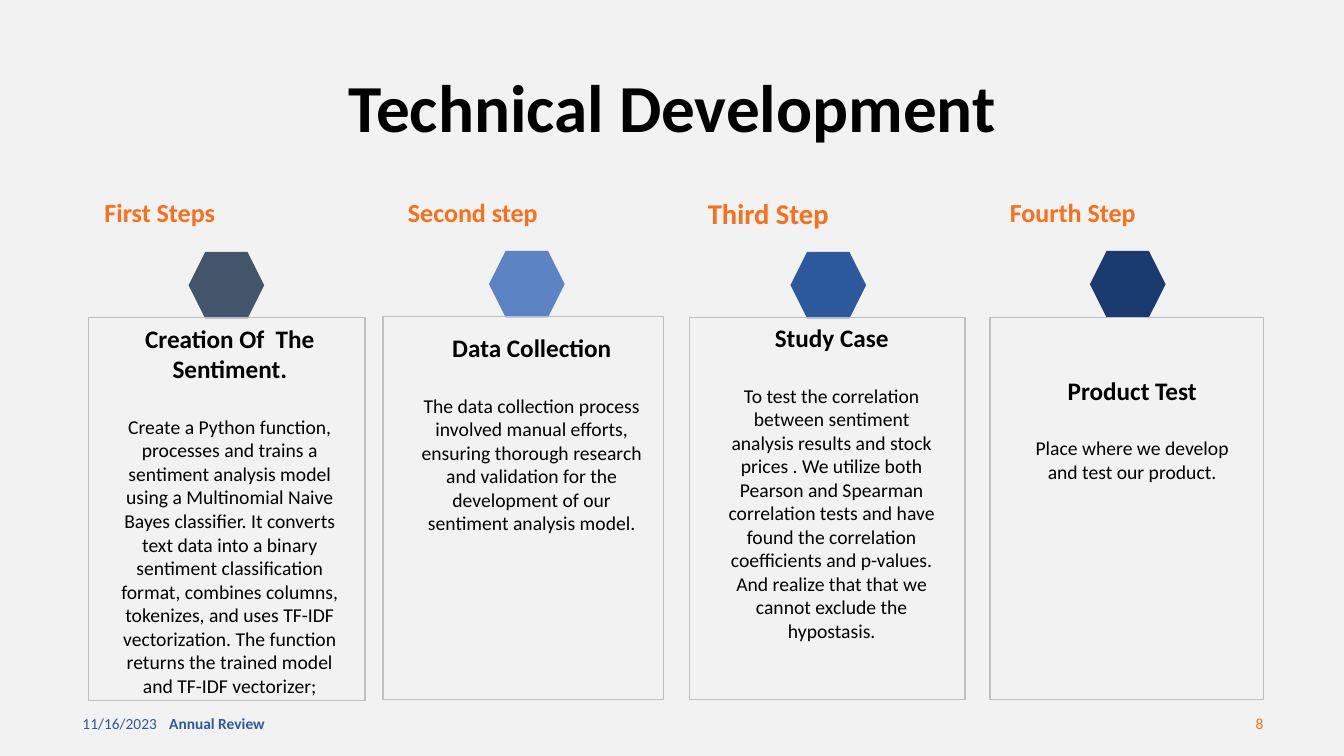
from dataclasses import dataclass

from pptx import Presentation
from pptx.dml.color import RGBColor
from pptx.enum.shapes import MSO_SHAPE
from pptx.enum.text import MSO_ANCHOR, PP_ALIGN
from pptx.util import Inches, Pt

HEXAGON, RECTANGLE = MSO_SHAPE.HEXAGON, MSO_SHAPE.RECTANGLE
TOP, MIDDLE = MSO_ANCHOR.TOP, MSO_ANCHOR.MIDDLE
LEFT, CENTER, RIGHT = PP_ALIGN.LEFT, PP_ALIGN.CENTER, PP_ALIGN.RIGHT


@dataclass(frozen=True)
class Theme:
    font: str = "Calibri"
    background: str = "F2F2F2"
    ink: str = "000000"
    accent: str = "FA6F1A"
    footer: str = "2C599D"
    border: str = "BFBFBF"
    title_size: float = 48
    step_size: float = 18.6
    large_step_size: float = 20.4
    heading_size: float = 18
    body_size: float = 14
    footer_size: float = 11
    heading_gap: float = 22


THEME = Theme()


@dataclass(frozen=True)
class Step:
    """One column; each span is (left, width) and each area (left, top, width, height)."""
    label: str
    label_span: tuple
    hexagon_at: tuple
    hexagon_color: str
    card: tuple
    copy_area: tuple
    heading: str
    body: str
    label_size: float = THEME.step_size
    label_spacing: float = 0.7


STEPS = [
    Step("First Steps", (0.88, 1.41), (1.87, 2.5), "44546A",
         (0.88, 3.15, 2.74, 3.8), (1.09, 3.16, 2.28, 3.79),
         "Creation Of  The Sentiment.",
         "Create a Python function, processes and trains a sentiment analysis model "
         "using a Multinomial Naive Bayes classifier. It converts text data into a "
         "binary sentiment classification format, combines columns, tokenizes, and "
         "uses TF-IDF vectorization. The function returns the trained model and "
         "TF-IDF vectorizer;"),
    Step("Second step", (3.89, 1.6), (4.85, 2.49), "5C83C4",
         (3.8, 3.14, 2.78, 3.8), (4.05, 3.25, 2.35, 2.61),
         "Data Collection",
         "The data collection process involved manual efforts, ensuring thorough "
         "research and validation for the development of our sentiment analysis model."),
    Step("Third Step", (6.89, 1.46), (7.84, 2.5), "2C599D",
         (6.84, 3.15, 2.73, 3.79), (7.06, 3.15, 2.28, 3.57),
         "Study Case",
         "To test the correlation between sentiment analysis results and stock "
         "prices . We utilize both Pearson and Spearman correlation tests and have "
         "found the correlation coefficients and p-values. And realize that that we "
         "cannot exclude the hypostasis.",
         THEME.large_step_size, 0.8),
    Step("Fourth Step", (9.85, 1.58), (10.81, 2.49), "1A3B70",
         (9.82, 3.15, 2.71, 3.79), (10.04, 3.67, 2.28, 1.76),
         "Product Test",
         "Place where we develop and test our product."),
]


def rgb(color):
    return RGBColor.from_string(color)


def inches(area):
    return [Inches(length) for length in area]


def style(paragraph, text, size, color, bold=False, align=LEFT, spacing=None):
    paragraph.text = text
    paragraph.alignment = align
    paragraph.line_spacing = spacing
    font = paragraph.font
    font.name, font.size, font.bold = THEME.font, Pt(size), bold
    font.color.rgb = rgb(color)


def add_text_frame(slide, area, anchor):
    frame = slide.shapes.add_textbox(*inches(area)).text_frame
    frame.word_wrap = True
    frame.vertical_anchor = anchor
    return frame


def add_line_of_text(slide, area, *args, **kwargs):
    frame = add_text_frame(slide, area, MIDDLE)
    style(frame.paragraphs[0], *args, **kwargs)


def add_plain_shape(slide, kind, area, fill=None, border=None):
    shape = slide.shapes.add_shape(kind, *inches(area))
    shape.shadow.inherit = False
    if fill:
        shape.fill.solid()
        shape.fill.fore_color.rgb = rgb(fill)
    else:
        shape.fill.background()
    if border:
        shape.line.color.rgb = rgb(border)
        shape.line.width = Pt(1)
    else:
        shape.line.fill.background()


def add_description(slide, step):
    frame = add_text_frame(slide, step.copy_area, TOP)
    frame.margin_right = 0
    heading = frame.paragraphs[0]
    style(heading, step.heading, THEME.heading_size, THEME.ink, bold=True, align=CENTER)
    heading.space_after = Pt(THEME.heading_gap)
    style(frame.add_paragraph(), step.body, THEME.body_size, THEME.ink, align=CENTER)


def add_step(slide, step):
    add_plain_shape(slide, HEXAGON, (*step.hexagon_at, 0.75, 0.66), fill=step.hexagon_color)
    left, width = step.label_span
    add_line_of_text(slide, (left, 1.87, width, 0.55), step.label, step.label_size,
                     THEME.accent, bold=True, align=CENTER, spacing=step.label_spacing)
    add_plain_shape(slide, RECTANGLE, step.card, border=THEME.border)
    add_description(slide, step)


def add_footer(slide):
    top, height, size = 6.98, 0.4, THEME.footer_size
    add_line_of_text(slide, (0.72, top, 3, height), "11/16/2023", size, THEME.footer)
    add_line_of_text(slide, (1.58, top, 4.5, height), "Annual Review", size,
                     THEME.footer, bold=True)
    add_line_of_text(slide, (9.63, top, 3, height), "8", size, THEME.accent, align=RIGHT)


def main():
    deck = Presentation()
    deck.slide_width, deck.slide_height = Inches(13.33), Inches(7.5)
    slide = deck.slides.add_slide(deck.slide_layouts[6])
    slide.background.fill.solid()
    slide.background.fill.fore_color.rgb = rgb(THEME.background)

    add_footer(slide)
    add_line_of_text(slide, (0.47, 0.71, 12.4, 0.77), "Technical Development",
                     THEME.title_size, THEME.ink, bold=True, align=CENTER, spacing=0.9)
    for step in STEPS:
        add_step(slide, step)
    deck.save("out.pptx")


if __name__ == "__main__":
    main()
